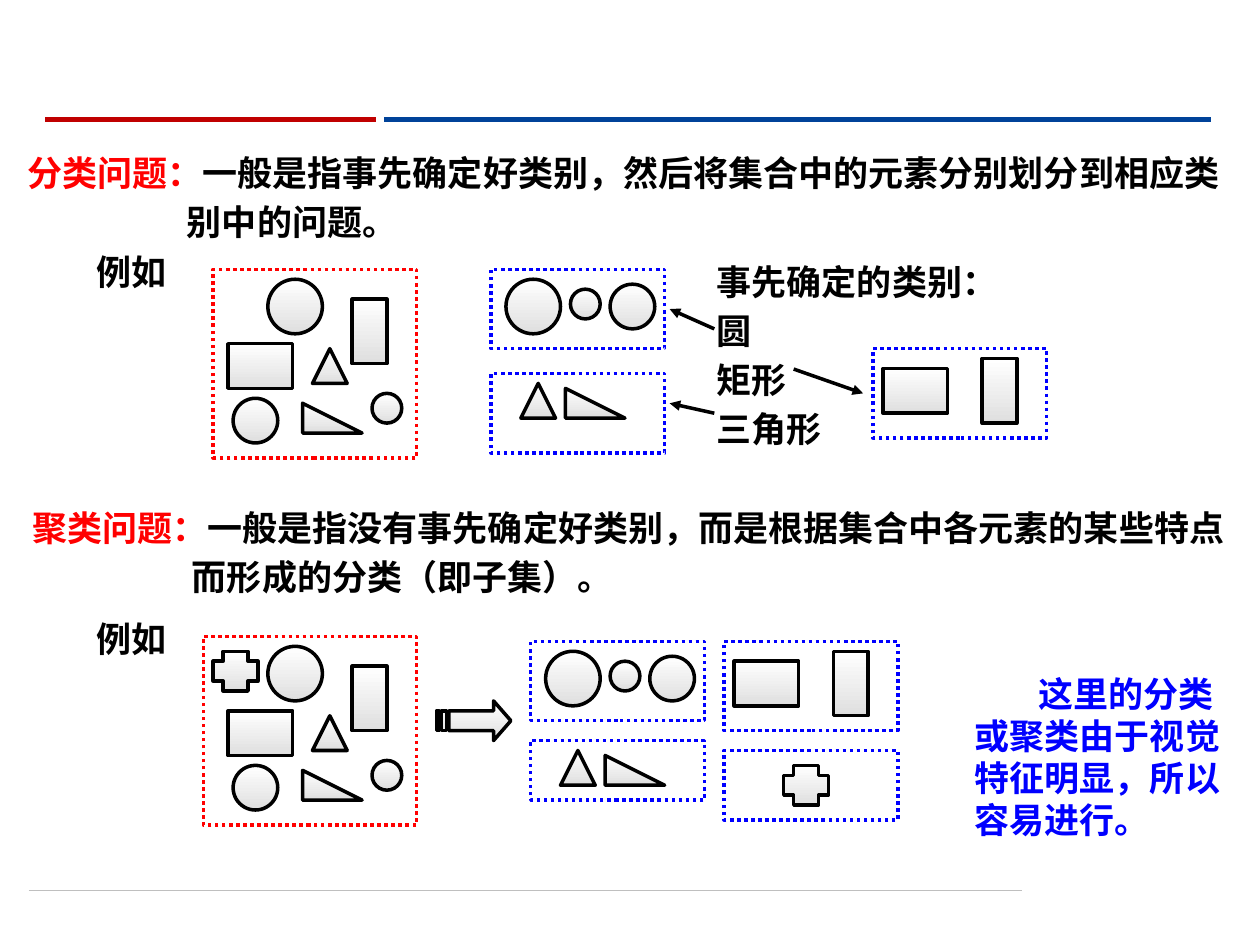
from lxml.etree import SubElement
from pptx import Presentation
from pptx.dml.color import RGBColor
from pptx.enum.dml import MSO_LINE
from pptx.enum.shapes import MSO_CONNECTOR, MSO_SHAPE as Shape
from pptx.enum.text import MSO_AUTO_SIZE
from pptx.oxml.ns import qn
from pptx.util import Cm, Pt

BLACK = RGBColor(0x00, 0x00, 0x00)
WHITE = RGBColor(0xFF, 0xFF, 0xFF)
RED = RGBColor(0xFF, 0x00, 0x00)
BLUE = RGBColor(0x00, 0x00, 0xFF)
SILVER = RGBColor(0xDF, 0xDF, 0xDF)
RULE_RED = RGBColor(0xC0, 0x00, 0x00)
RULE_BLUE = RGBColor(0x00, 0x42, 0x99)
RULE_GREY = RGBColor(0xBF, 0xBF, 0xBF)

# Figures: preset, width, height (cm)
FIGURES = {
    "big circle": (Shape.OVAL, 1.1, 1.1),
    "mid circle": (Shape.OVAL, 0.9, 0.9),
    "small circle": (Shape.OVAL, 0.6, 0.6),
    "wide rect": (Shape.RECTANGLE, 1.3, 0.9),
    "tall rect": (Shape.RECTANGLE, 0.7, 1.3),
    "triangle": (Shape.ISOSCELES_TRIANGLE, 0.7, 0.7),
    "right triangle": (Shape.RIGHT_TRIANGLE, 1.2, 0.6),
    "cross": (Shape.CROSS, 0.9, 0.8),
}

# Collections of figures: name, offset from the collection's corner (cm)
MIXED = [("mid circle", 0.4, 2.6), ("big circle", 1.1, 0.2),
         ("small circle", 3.2, 2.5), ("wide rect", 0.3, 1.5),
         ("tall rect", 2.8, 0.6), ("triangle", 2, 1.6),
         ("right triangle", 1.8, 2.7)]
CIRCLES = [("big circle", 0.3, 0.2), ("small circle", 1.6, 0.4),
           ("mid circle", 2.4, 0.3)]
TRIANGLES = [("triangle", 0.6, 0.2), ("right triangle", 1.5, 0.3)]
RECTS = [("wide rect", 0.2, 0.4), ("tall rect", 2.2, 0.2)]
CROSSES = [("cross", 1.2, 0.3)]


def style_figure(sp):
    sp.shadow.inherit = False
    sp.fill.gradient()
    sp.fill.gradient_angle = 270
    for stop, color in zip(sp.fill.gradient_stops, (WHITE, SILVER)):
        stop.color.rgb = color
    sp.line.color.rgb = BLACK
    sp.line.width = Pt(2)


def add_figures(s, figures, x, y):
    for name, dx, dy in figures:
        kind, w, h = FIGURES[name]
        style_figure(s.shapes.add_shape(kind, Cm(x + dx), Cm(y + dy), Cm(w), Cm(h)))


def add_frame(s, x, y, w, h, color):
    sp = s.shapes.add_shape(Shape.RECTANGLE, Cm(x), Cm(y), Cm(w), Cm(h))
    sp.shadow.inherit = False
    sp.fill.background()
    sp.line.color.rgb = color
    sp.line.width = Pt(2)
    sp.line.dash_style = MSO_LINE.ROUND_DOT


def add_class(s, figures, x, y, h):
    """A dotted blue class with its members."""
    add_figures(s, figures, x, y)
    add_frame(s, x, y, 3.5, h, BLUE)


def add_line(s, x1, y1, x2, y2, color=BLACK, width=2, arrow=False):
    cxn = s.shapes.add_connector(MSO_CONNECTOR.STRAIGHT, Cm(x1), Cm(y1), Cm(x2), Cm(y2))
    cxn.line.color.rgb = color
    cxn.line.width = Pt(width)
    if arrow:
        SubElement(cxn.line._get_or_add_ln(), qn("a:tailEnd"), type="triangle")
    SubElement(cxn._element.spPr, qn("a:effectLst"))


def add_text(s, x, y, w, h, paragraphs):
    """Each paragraph is (left margin, first-line indent, [(text, colour), ...])."""
    tf = s.shapes.add_textbox(Cm(x), Cm(y), Cm(w), Cm(h)).text_frame
    tf.word_wrap = True
    tf.auto_size = MSO_AUTO_SIZE.SHAPE_TO_FIT_TEXT
    for i, (margin, indent, runs) in enumerate(paragraphs):
        p = tf.add_paragraph() if i else tf.paragraphs[0]
        p.space_before = Pt(4)
        p.font.name, p.font.size, p.font.bold = "Arial", Pt(20), True
        pPr = p._p.get_or_add_pPr()
        pPr.set("marL", str(Cm(margin)))
        pPr.set("indent", str(Cm(indent)))
        for text, color in runs:
            r = p.add_run()
            r.text = text
            r.font.color.rgb = color


def add_definition(s, x, y, term, first, rest):
    add_text(s, x, y, 24.7, 1.95, [(0, 0, [(term, RED), (first, BLACK)]),
                                   (3.22, 0, [(rest, BLACK)])])


def add_striped_arrow(s, x, y):
    head = [(1.15, 0), (1.15, 0.2), (0.25, 0.2), (0.25, 0.6),
            (1.15, 0.6), (1.15, 0.8), (1.5, 0.4)]
    stripes = [[(a, 0.2), (a, 0.6), (b, 0.6), (b, 0.2)]
               for a, b in ((0.1, 0.2), (0, 0.05))]
    # Vertices are whole numbers, so they are given in EMU
    fb = s.shapes.build_freeform(Cm(x + head[0][0]), Cm(y + head[0][1]))
    for i, outline in enumerate([head] + stripes):
        points = [(Cm(x + dx), Cm(y + dy)) for dx, dy in outline]
        if i:
            fb.move_to(*points[0])
        fb.add_line_segments(points[1:], close=True)
    style_figure(fb.convert_to_shape())


def main():
    prs = Presentation()
    prs.slide_width, prs.slide_height = Cm(25.4), Cm(19.05)
    s = prs.slides.add_slide(prs.slide_layouts[6])

    # Header and footer rules
    add_line(s, 0.58, 17.96, 20.6, 17.96, RULE_GREY, 0.5)
    add_line(s, 7.75, 2.41, 24.41, 2.41, RULE_BLUE, 3)
    add_line(s, 0.91, 2.41, 7.57, 2.41, RULE_RED, 3)

    # Classification: classes known beforehand
    add_definition(s, 0.3, 2.92, "分类问题：",
                   "一般是指事先确定好类别，然后将集合中的元素分别划分到相应类",
                   "别中的问题。")
    add_text(s, 1.7, 4.93, 2.29, 1.09, [(0, 0, [("例如", BLACK)])])
    add_figures(s, MIXED, 4.3, 5.43)
    add_frame(s, 4.3, 5.43, 4.1, 3.8, RED)
    labels = ("事先确定的类别：", "圆", "矩形", "三角形")
    add_text(s, 14.2, 5.13, 6.6, 3.63, [(0, 0, [(t, BLACK)]) for t in labels])
    add_class(s, CIRCLES, 9.9, 5.43, 1.6)
    add_class(s, TRIANGLES, 9.9, 7.53, 1.6)
    add_class(s, RECTS, 17.6, 7.03, 1.8)
    for ends in ((14.4, 6.63, 13.5, 6.23), (16, 7.44, 17.4, 7.93),
                 (14.4, 8.33, 13.5, 8.13)):
        add_line(s, *ends, arrow=True)

    # Clustering: classes formed from features
    add_definition(s, 0.4, 10.08, "聚类问题：",
                   "一般是指没有事先确定好类别，而是根据集合中各元素的某些特点",
                   "而形成的分类（即子集）。")
    add_text(s, 1.7, 12.32, 2.29, 1.09, [(0, 0, [("例如", BLACK)])])
    add_figures(s, MIXED + [("cross", 0, 0.3)], 4.3, 12.83)
    add_frame(s, 4.1, 12.83, 4.3, 3.8, RED)
    add_striped_arrow(s, 8.8, 14.13)
    add_class(s, CIRCLES, 10.7, 12.93, 1.6)
    add_class(s, TRIANGLES, 10.7, 14.93, 1.2)
    add_class(s, RECTS, 14.6, 12.93, 1.8)
    add_class(s, CROSSES, 14.6, 15.13, 1.4)

    # Remark
    add_text(s, 19.4, 13.43, 5.6, 3.63, [
        (0, 1.28, [("这里的分类或聚类由于视觉特征明显，所以容易进行。", BLUE)])])

    prs.save("out.pptx")


if __name__ == "__main__":
    main()
